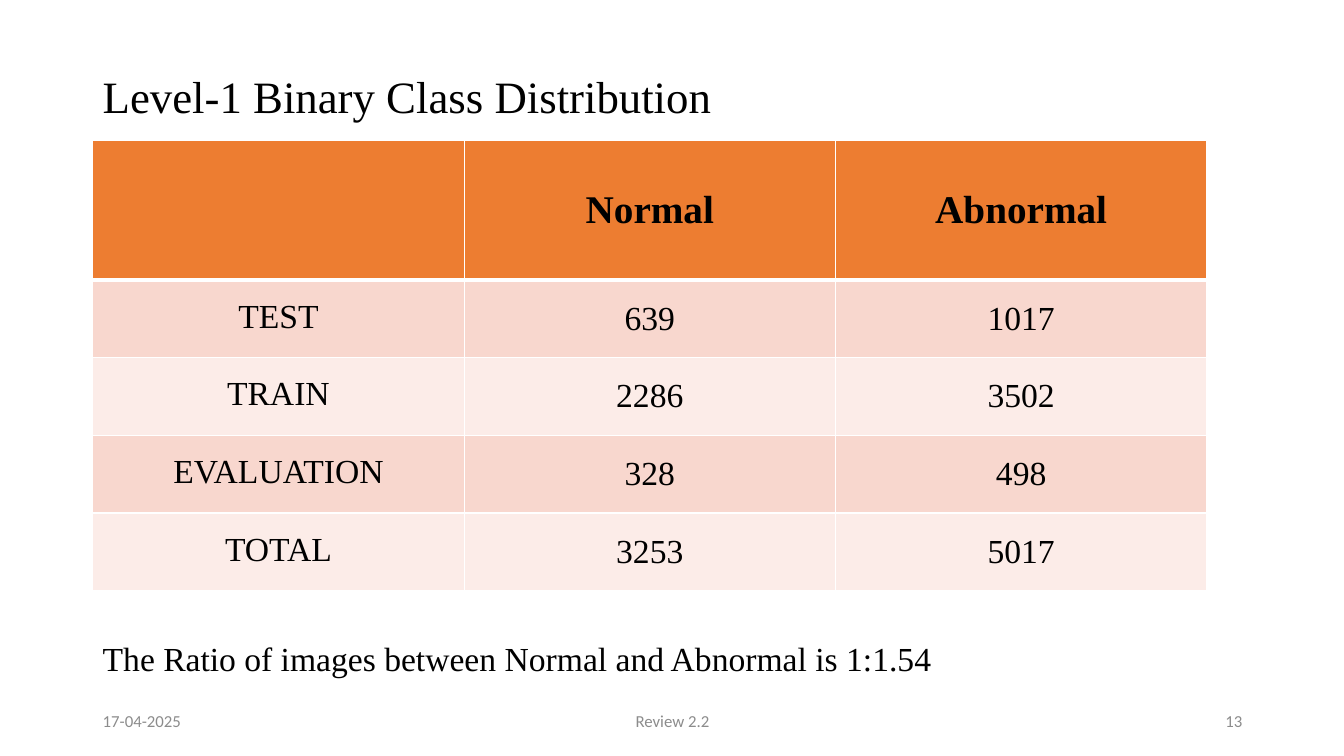
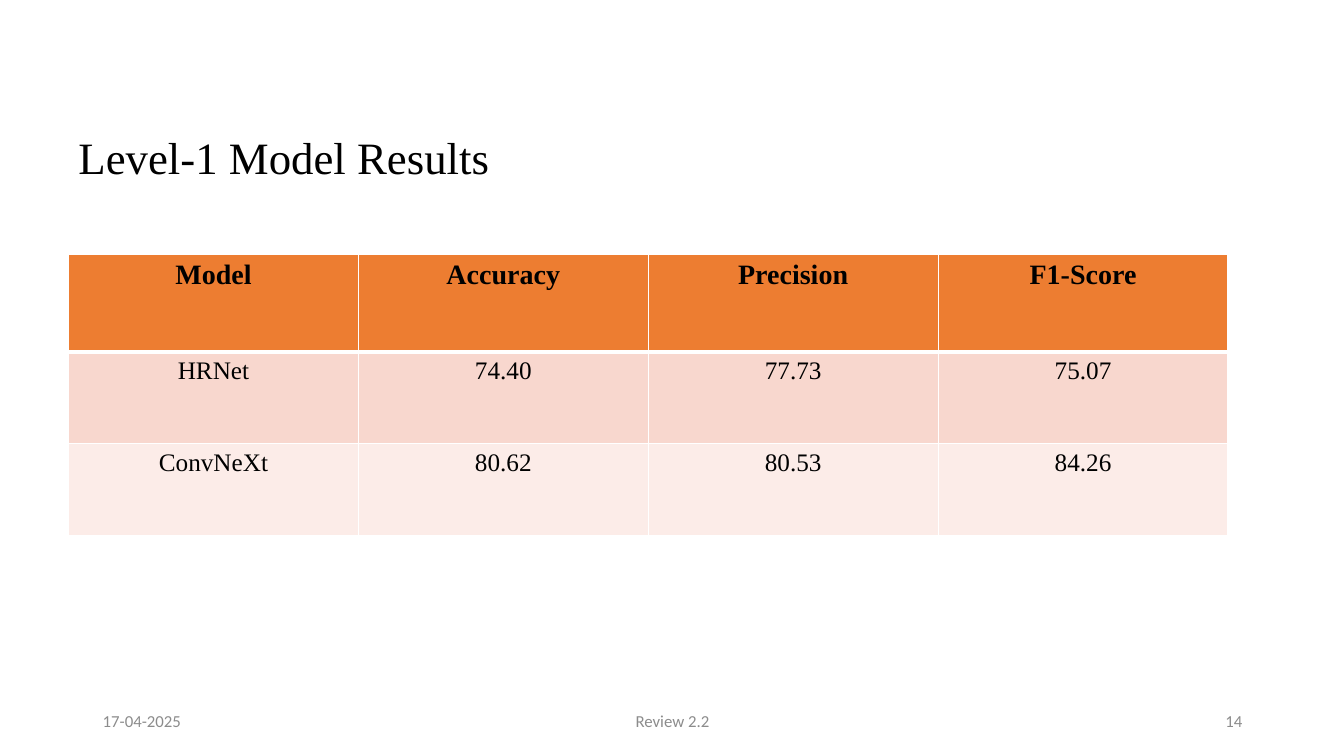
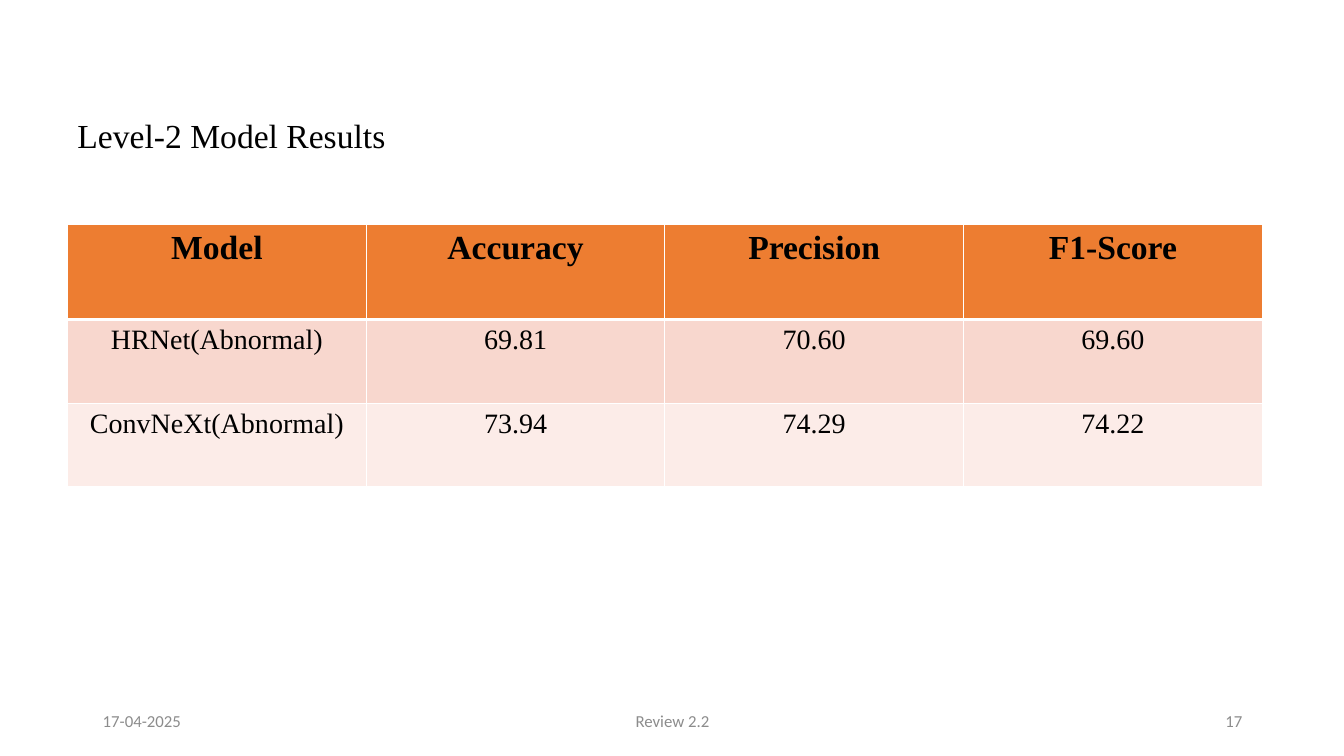
from dataclasses import dataclass

from lxml.etree import SubElement
from pptx import Presentation
from pptx.dml.color import RGBColor
from pptx.enum.text import MSO_ANCHOR, PP_ALIGN
from pptx.oxml.ns import qn
from pptx.util import Inches, Pt


@dataclass(frozen=True)
class Theme:
    ink: str = "000000"
    gray: str = "8C8C8C"
    white: str = "FFFFFF"
    head: str = "ED7D31"
    bands: tuple = ("F8D7CE", "FCECE8")
    serif: str = "Times New Roman"
    sans: str = "Calibri"
    title: int = 32
    note: int = 24
    foot: int = 12
    thin: int = 1
    thick: int = 3


class Deck:
    def __init__(self, theme):
        self.theme = theme
        self.show = Presentation()
        self.show.slide_width = Inches(13.33)
        self.show.slide_height = Inches(7.5)
        self.slide = None

    def page(self, number):
        self.slide = self.show.slides.add_slide(self.show.slide_layouts[6])
        feet = (
            (0.92, 3, "17-04-2025", PP_ALIGN.LEFT),
            (4.42, 4.5, "Review 2.2", PP_ALIGN.CENTER),
            (9.42, 3, str(number), PP_ALIGN.RIGHT),
        )
        for left, width, words, align in feet:
            para = self.text((left, 6.95, width, 0.4), words, self.theme.foot,
                             MSO_ANCHOR.MIDDLE)
            self.style(para, self.theme.foot, align, face=self.theme.sans,
                       color=self.theme.gray)

    def style(self, para, size, align=PP_ALIGN.LEFT, bold=False, face=None, color=None):
        para.alignment = align
        font = para.font
        font.name = face or self.theme.serif
        font.size = Pt(size)
        font.bold = bold
        font.color.rgb = RGBColor.from_string(color or self.theme.ink)

    def text(self, box, words, size, anchor=MSO_ANCHOR.TOP):
        frame = self.slide.shapes.add_textbox(*map(Inches, box)).text_frame
        frame.word_wrap = True
        frame.vertical_anchor = anchor
        para = frame.paragraphs[0]
        para.text = words
        self.style(para, size)
        return para

    def title(self, box, words, size=None, anchor=MSO_ANCHOR.MIDDLE):
        para = self.text(box, words, size or self.theme.title, anchor)
        if anchor == MSO_ANCHOR.MIDDLE:
            para.line_spacing = 0.9

    def edges(self, cell, top, bottom):
        thin = self.theme.thin
        props = cell._tc.get_or_add_tcPr()
        for side, width in zip("LRTB", (thin, thin, top, bottom)):
            line = SubElement(props, qn(f"a:ln{side}"), w=str(Pt(width)))
            fill = SubElement(line, qn("a:solidFill"))
            SubElement(fill, qn("a:srgbClr"), val=self.theme.white)

    def table(self, box, rows, heights, sizes, anchor=MSO_ANCHOR.TOP, tight=False):
        look = self.theme
        count = len(rows[0])
        grid = self.slide.shapes.add_table(len(rows), count, *map(Inches, box)).table
        grid.horz_banding = False
        for col in grid.columns:
            col.width = Inches(box[2] / count)
        for r, row in enumerate(rows):
            first = r == 0
            grid.rows[r].height = Inches(heights[min(r, 1)])
            top = look.thick if r == 1 else look.thin
            bottom = look.thick if first else look.thin
            shade = look.head if first else look.bands[(r - 1) % 2]
            for c, words in enumerate(row):
                cell = grid.cell(r, c)
                cell.text = words
                cell.vertical_anchor = anchor
                if tight and c == 0 and not first:
                    cell.margin_left = cell.margin_right = cell.margin_top = Inches(0.01)
                self.edges(cell, top, bottom)
                cell.fill.solid()
                cell.fill.fore_color.rgb = RGBColor.from_string(shade)
                self.style(cell.text_frame.paragraphs[0], sizes[min(r, 1)],
                           PP_ALIGN.CENTER, bold=first)


def main():
    deck = Deck(Theme())
    scores = ("Model", "Accuracy", "Precision", "F1-Score")

    deck.page(13)
    deck.table(
        (0.92, 1.39, 11.05, 4.47),
        (
            ("", "Normal", "Abnormal"),
            ("TEST", "639", "1017"),
            ("TRAIN", "2286", "3502"),
            ("EVALUATION", "328", "498"),
            ("TOTAL", "3253", "5017"),
        ),
        (1.39, 0.77), (28, 24), MSO_ANCHOR.MIDDLE, tight=True,
    )
    deck.text((0.92, 6.28, 9.45, 0.5),
              "The Ratio of images between Normal and Abnormal is 1:1.54",
              deck.theme.note)
    deck.title((0.92, 0.63, 11.22, 1.11), "Level-1 Binary Class Distribution",
               anchor=MSO_ANCHOR.TOP)

    deck.page(14)
    deck.title((0.68, 1.05, 12.29, 1.07), "Level-1 Model Results")
    deck.table(
        (0.68, 2.52, 11.5, 2.79),
        (
            scores,
            ("HRNet", "74.40", "77.73", "75.07"),
            ("ConvNeXt", "80.62", "80.53", "84.26"),
        ),
        (0.97, 0.91), (20, 18),
    )

    deck.page(17)
    deck.title((0.67, 0.83, 3.49, 1.07), "Level-2 Model Results", 24)
    deck.table(
        (0.67, 2.23, 11.85, 2.59),
        (
            scores,
            ("HRNet(Abnormal)", "69.81", "70.60", "69.60"),
            ("ConvNeXt(Abnormal)", "73.94", "74.29", "74.22"),
        ),
        (0.94, 0.83), (24, 20),
    )

    deck.show.save("out.pptx")


if __name__ == "__main__":
    main()
